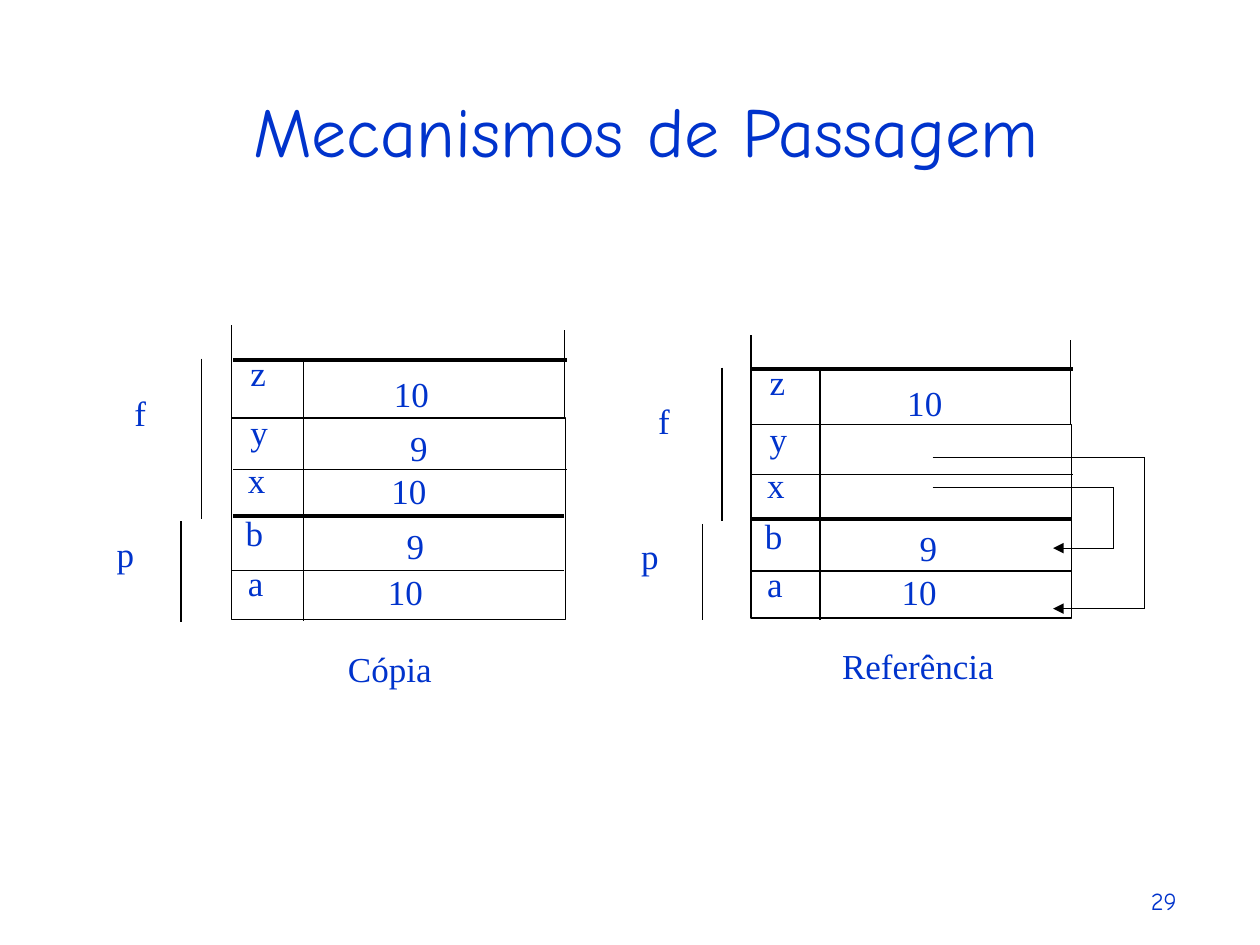
import pptx
import pptx.dml.color
import pptx.enum.shapes
import pptx.enum.text
import pptx.oxml
import pptx.oxml.ns
import pptx.util
from pptx.util import Cm

BLUE = pptx.dml.color.RGBColor(0x00, 0x33, 0xCC)
BLACK = pptx.dml.color.RGBColor(0x00, 0x00, 0x00)
ALIGN = pptx.enum.text.PP_ALIGN
ANCHOR = pptx.enum.text.MSO_ANCHOR
SERIF = "Times New Roman"
ROUNDED = "Comic Neue"
THIN, THICK, HAIR = 0.75, 2.25, 0.25


class Sketch:
    """Draws on a page or group, with lengths in cm from a scaled origin."""

    def __init__(self, shapes, left=0, top=0, scale_x=1, scale_y=1):
        self.shapes = shapes
        self.left, self.top = left, top
        self.scale_x, self.scale_y = scale_x, scale_y

    def point(self, x, y):
        return Cm(self.left + x * self.scale_x), Cm(self.top + y * self.scale_y)

    def size(self, width, height):
        return Cm(width * self.scale_x), Cm(height * self.scale_y)

    def text(self, words, x, y, width, height, size=20, font=SERIF,
             align=ALIGN.LEFT, anchor=ANCHOR.TOP):
        box = self.shapes.add_textbox(*self.point(x, y), *self.size(width, height))
        frame = box.text_frame
        frame.word_wrap = True
        frame.vertical_anchor = anchor
        para = frame.paragraphs[0]
        para.text = words
        para.alignment = align
        para.font.size = pptx.util.Pt(size)
        para.font.name = font
        para.font.color.rgb = BLUE

    def frame(self, x, y, width, height):
        box = self.shapes.add_shape(
            pptx.enum.shapes.MSO_SHAPE.RECTANGLE,
            *self.point(x, y), *self.size(width, height))
        box.shadow.inherit = False
        box.fill.background()
        box.line.color.rgb = BLACK
        box.line.width = pptx.util.Pt(THIN)

    def line(self, x1, y1, x2, y2, weight=THIN, arrow=False):
        line = self.shapes.add_connector(
            pptx.enum.shapes.MSO_CONNECTOR.STRAIGHT,
            *self.point(x1, y1), *self.point(x2, y2))
        line.line.color.rgb = BLACK
        line.line.width = pptx.util.Pt(weight)
        properties = line._element.spPr
        if arrow:
            pptx.oxml.ns.qn("a:ln")
            tail = properties.find(pptx.oxml.ns.qn("a:ln")).makeelement(
                pptx.oxml.ns.qn("a:tailEnd"), {"type": "triangle"})
            properties.find(pptx.oxml.ns.qn("a:ln")).append(tail)
        properties.append(properties.makeelement(pptx.oxml.ns.qn("a:effectLst"), {}))


def draw_stack(sketch, values, caption, caption_left, caption_width):
    # Frame, open top and row lines
    sketch.frame(0, 1.17, 6.73, 4.06)
    sketch.line(0, 1.17, 0, -0.71)
    sketch.line(6.71, 1.17, 6.71, -0.61)
    sketch.line(0.03, 0, 6.76, 0, THICK)
    sketch.line(0.03, 2.21, 6.76, 2.21)
    sketch.line(0.03, 3.15, 6.71, 3.15, THICK)
    sketch.line(0, 4.24, 6.71, 4.24)
    sketch.line(1.45, 0, 1.45, 5.26)

    # Scopes of f and p
    sketch.line(-0.61, -0.03, -0.61, 3.2)
    sketch.line(-1.02, 3.25, -1.02, 5.28)

    # Scope and variable names
    names = [("f", -2.21, 0.51), ("p", -2.57, 3.35),
             ("z", 0.13, -0.3), ("y", 0.13, 0.89), ("x", 0.08, 1.85),
             ("b", 0.03, 2.92), ("a", 0.08, 3.94)]
    for name, x, y in names:
        sketch.text(name, x, y, 1.4, 1.75)

    # Values, from z down to a
    places = [(3.02, 0.13), (3.35, 1.22), (2.97, 2.08), (3.28, 3.18), (2.9, 4.11)]
    for value, (x, y) in zip(values, places):
        if value:
            sketch.text(value, x, y, 1.88, 1.09)

    sketch.text(caption, caption_left, 5.66, caption_width, 1.9, align=ALIGN.CENTER)


def main():
    deck = pptx.Presentation()
    deck.slide_width, deck.slide_height = Cm(25.4), Cm(19.05)
    page = deck.slides.add_slide(deck.slide_layouts[6])
    sheet = Sketch(page.shapes)

    # Title
    sheet.text("Mecanismos de Passagem", 0.64, 0.84, 24.77, 2.74, size=40,
               font=ROUNDED, align=ALIGN.CENTER, anchor=ANCHOR.BOTTOM)

    # Passing by copy
    copy_group = page.shapes.add_group_shape()
    draw_stack(Sketch(copy_group.shapes, 4.67, 7.26),
               ["10", "9", "10", "9", "10"], "Cópia", 1.27, 3.84)

    # Passing by reference
    reference_group = page.shapes.add_group_shape()
    draw_stack(Sketch(reference_group.shapes, 15.14, 7.44, 0.96, 0.96),
               ["10", None, None, "9", "10"], "Referência", 0.64, 5.73)

    # Arrows from x to b and from y to a
    pointers = Sketch(reference_group.shapes)
    for start, end, bend in [(9.83, 11.05, 22.45), (9.22, 12.27, 23.06)]:
        pointers.line(18.8, start, bend, start, HAIR)
        pointers.line(bend, start, bend, end, HAIR)
        pointers.line(bend, end, 21.23, end, HAIR, arrow=True)

    # Page number
    sheet.text("29", 18.69, 17.3, 5.28, 1.27, size=14, font=ROUNDED,
               align=ALIGN.RIGHT, anchor=ANCHOR.BOTTOM)

    deck.save("out.pptx")


if __name__ == "__main__":
    main()
